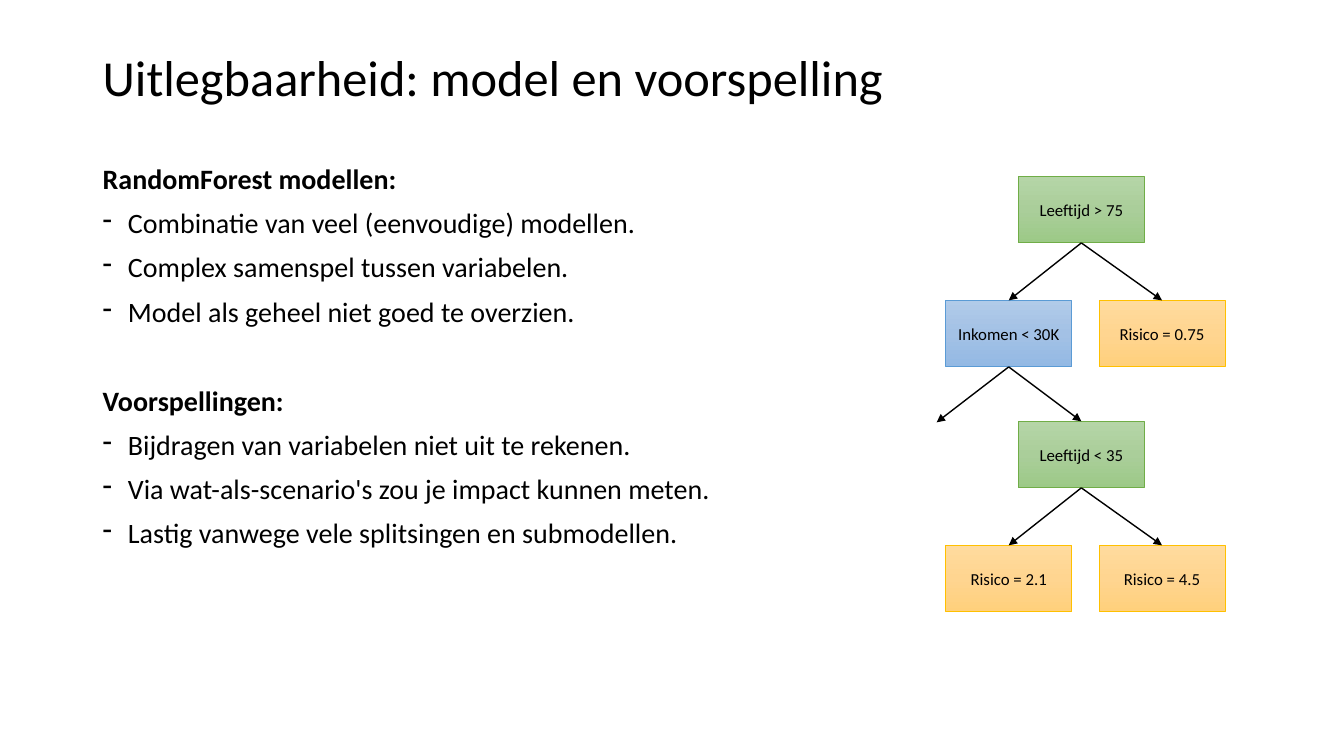
"""Builds a slide on explaining random forest models, with a decision tree."""
from copy import deepcopy
from dataclasses import dataclass

from lxml import etree
from pptx import Presentation
from pptx.dml.color import RGBColor
from pptx.enum.shapes import MSO_CONNECTOR, MSO_SHAPE
from pptx.enum.text import MSO_ANCHOR, PP_ALIGN
from pptx.oxml.ns import qn
from pptx.util import Pt

PX = 9144
RECT = MSO_SHAPE.RECTANGLE
STRAIGHT = MSO_CONNECTOR.STRAIGHT
TOP, MIDDLE = MSO_ANCHOR.TOP, MSO_ANCHOR.MIDDLE
CENTER = PP_ALIGN.CENTER
TOP_SITE, BOTTOM_SITE = 0, 2
NODE_W, NODE_H = 125, 66
LEFT_X, MID_X, RIGHT_X = 938, 1010, 1090
ROW_Y = (175, 298, 418, 541)
INDENT = 25


@dataclass(frozen=True)
class Palette:
    stops: tuple[str, str, str]
    line: str


@dataclass(frozen=True)
class Theme:
    font: str = "Calibri"
    ink: str = "000000"
    title: int = 36
    body: int = 20
    node: int = 12
    gap: int = 10
    section_gap: int = 42
    green: Palette = Palette(("B5D5A7", "AACE9A", "9CC987"), "70AD47")
    blue: Palette = Palette(("B1CBE9", "A3C1E5", "93B9E4"), "5B9BD5")
    gold: Palette = Palette(("FFDB9E", "FFD590", "FFD07C"), "FFC000")


@dataclass(frozen=True)
class Section:
    heading: str
    points: tuple[str, ...]


@dataclass(frozen=True)
class Node:
    text: str
    x: int
    y: int
    palette: Palette


THEME = Theme()
SECTIONS = (
    Section("RandomForest modellen:", (
        "Combinatie van veel (eenvoudige) modellen.",
        "Complex samenspel tussen variabelen.",
        "Model als geheel niet goed te overzien.",
    )),
    Section("Voorspellingen:", (
        "Bijdragen van variabelen niet uit te rekenen.",
        "Via wat-als-scenario's zou je impact kunnen meten.",
        "Lastig vanwege vele splitsingen en submodellen.",
    )),
)
NODES = {
    "root": Node("Leeftijd > 75", MID_X, ROW_Y[0], THEME.green),
    "income": Node("Inkomen < 30K", LEFT_X, ROW_Y[1], THEME.blue),
    "old": Node("Risico = 0.75", RIGHT_X, ROW_Y[1], THEME.gold),
    "age": Node("Leeftijd < 35", MID_X, ROW_Y[2], THEME.green),
    "young": Node("Risico = 2.1", LEFT_X, ROW_Y[3], THEME.gold),
    "adult": Node("Risico = 4.5", RIGHT_X, ROW_Y[3], THEME.gold),
}
BRANCHES = (("root", "income"), ("root", "old"), ("income", "age"),
            ("age", "young"), ("age", "adult"))
OPEN_END = (929, 419)


def rgb(value: str) -> RGBColor:
    return RGBColor.from_string(value)


def style(p, size: int, bold: bool = False) -> None:
    for r in p.runs:
        r.font.name = THEME.font
        r.font.size = Pt(size)
        r.font.bold = bold
        r.font.color.rgb = rgb(THEME.ink)


def add_text_frame(s, x: int, y: int, w: int, h: int, anchor):
    tf = s.shapes.add_textbox(x * PX, y * PX, w * PX, h * PX).text_frame
    tf.word_wrap = True
    tf.vertical_anchor = anchor
    return tf


def add_title(s, text: str) -> None:
    tf = add_text_frame(s, 92, 40, 1150, 79, MIDDLE)
    tf.text = text
    p = tf.paragraphs[0]
    p.line_spacing = 0.9
    style(p, THEME.title)


def add_dash(p) -> None:
    pPr = p._p.get_or_add_pPr()
    pPr.set("marL", str(INDENT * PX))
    pPr.set("indent", str(-INDENT * PX))
    etree.SubElement(pPr, qn("a:buFontTx"))
    etree.SubElement(pPr, qn("a:buChar")).set("char", "-")


def add_body(s, sections: tuple[Section, ...]) -> None:
    tf = add_text_frame(s, 92, 159, 739, 516, TOP)
    for i, section in enumerate(sections):
        p = tf.add_paragraph() if i else tf.paragraphs[0]
        p.text = section.heading
        p.line_spacing = 0.9
        if i:
            p.space_before = Pt(THEME.section_gap)
        style(p, THEME.body, bold=True)
        for point in section.points:
            p = tf.add_paragraph()
            p.text = point
            add_dash(p)
            p.line_spacing = 0.9
            p.space_before = Pt(THEME.gap)
            style(p, THEME.body)


def fill_gradient(sp, colors: tuple[str, str, str]) -> None:
    sp.fill.gradient()
    sp.fill.gradient_angle = 270
    stop_list = sp._element.spPr.find(".//" + qn("a:gsLst"))
    stop_list.insert(1, deepcopy(stop_list[0]))
    for i, stop in enumerate(sp.fill.gradient_stops):
        stop.position = i / 2
        stop.color.rgb = rgb(colors[i])


def add_node(shapes, node: Node):
    sp = shapes.add_shape(RECT, node.x * PX, node.y * PX, NODE_W * PX, NODE_H * PX)
    sp.shadow.inherit = False
    fill_gradient(sp, node.palette.stops)
    sp.line.color.rgb = rgb(node.palette.line)
    sp.line.width = Pt(0.5)
    tf = sp.text_frame
    tf.word_wrap = True
    tf.vertical_anchor = MIDDLE
    tf.text = node.text
    p = tf.paragraphs[0]
    p.alignment = CENTER
    style(p, THEME.node)
    return sp


def add_arrow(shapes, parent, x: int, y: int):
    start_x, start_y = parent.left + parent.width // 2, parent.top + parent.height
    cxn = shapes.add_connector(STRAIGHT, start_x, start_y, x, y)
    cxn.begin_connect(parent, BOTTOM_SITE)
    cxn.line.color.rgb = rgb(THEME.ink)
    cxn.line.width = Pt(1)
    etree.SubElement(cxn.line._get_or_add_ln(), qn("a:tailEnd")).set("type", "triangle")
    etree.SubElement(cxn._element.spPr, qn("a:effectLst"))
    return cxn


def add_tree(s) -> None:
    shapes = s.shapes.add_group_shape().shapes
    boxes = {key: add_node(shapes, node) for key, node in NODES.items()}
    for parent, child in BRANCHES:
        box = boxes[child]
        cxn = add_arrow(shapes, boxes[parent], box.left + box.width // 2, box.top)
        cxn.end_connect(box, TOP_SITE)
    add_arrow(shapes, boxes["income"], OPEN_END[0] * PX, OPEN_END[1] * PX)


def main() -> None:
    prs = Presentation()
    prs.slide_width, prs.slide_height = 1333 * PX, 750 * PX
    s = prs.slides.add_slide(prs.slide_layouts[6])
    add_title(s, "Uitlegbaarheid: model en voorspelling")
    add_body(s, SECTIONS)
    add_tree(s)
    prs.save("out.pptx")


if __name__ == "__main__":
    main()
